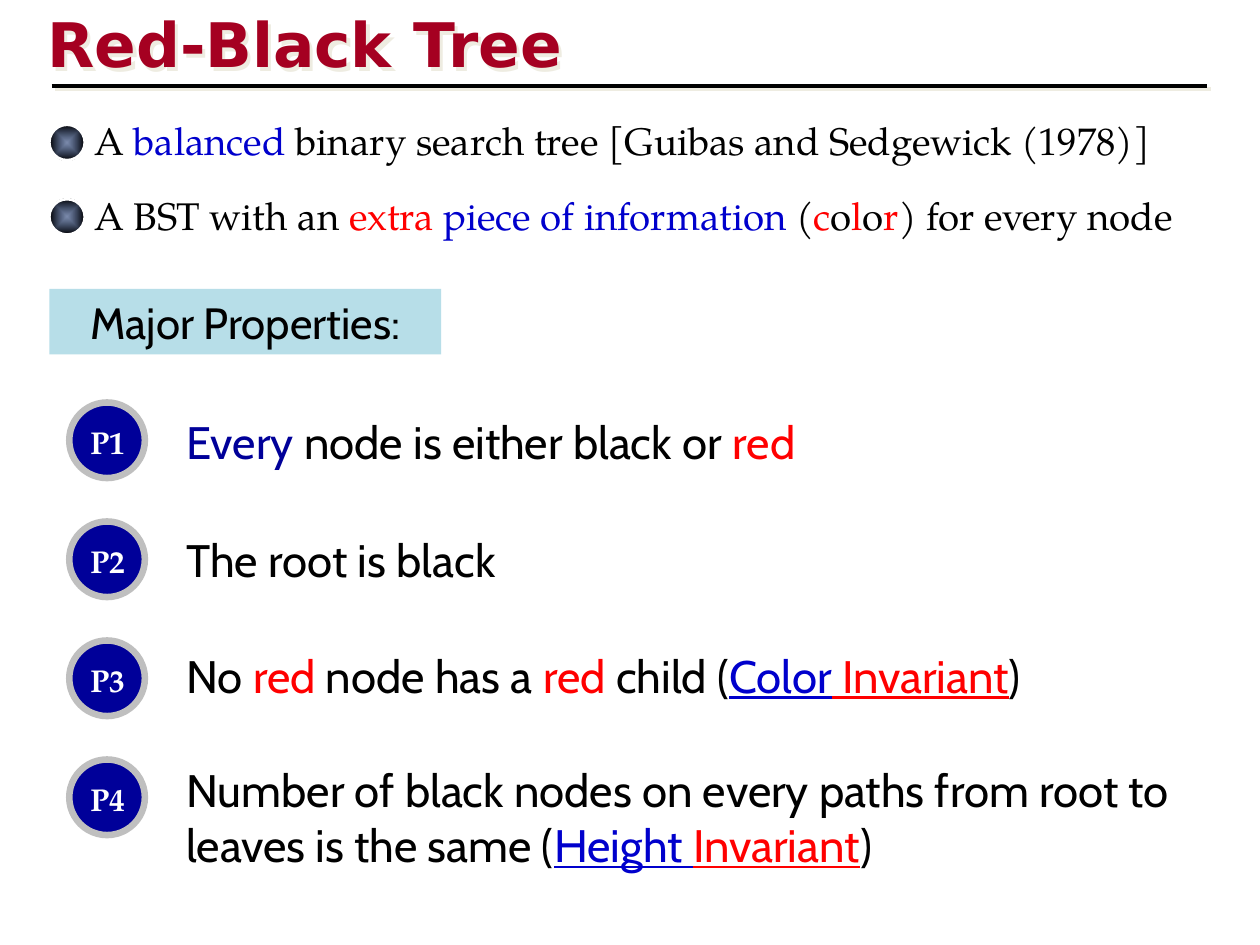
"""Build the Red-Black Tree slide with its definition and four properties."""
from lxml import etree
from pptx import Presentation
from pptx.dml.color import RGBColor
from pptx.enum import shapes, text
from pptx.oxml import parse_xml
from pptx.util import Pt

BLACK = RGBColor(0x00, 0x00, 0x00)
WHITE = RGBColor(0xFF, 0xFF, 0xFF)
RED = RGBColor(0xFF, 0x00, 0x00)
BLUE = RGBColor(0x00, 0x00, 0xCC)
NAVY = RGBColor(0x00, 0x00, 0x99)
CRIMSON = RGBColor(0xA5, 0x00, 0x21)
SILVER = RGBColor(0xBF, 0xBF, 0xBF)
PALE_BLUE = RGBColor(0xB7, 0xDE, 0xE8)
A = "http://schemas.openxmlformats.org/drawingml/2006/main"
SERIF, SANS = "TeX Gyre Pagella", "Cabin"
SHADOW = f"""<a:effectLst xmlns:a="{A}">
<a:outerShdw dist="35560" dir="2700000" algn="ctr" rotWithShape="0">
<a:srgbClr val="EEECE1"/></a:outerShdw></a:effectLst>"""
SPHERE = f"""<a:gradFill xmlns:a="{A}" rotWithShape="1"><a:gsLst>
<a:gs pos="0"><a:srgbClr val="002060"><a:alpha val="51000"/></a:srgbClr></a:gs>
<a:gs pos="100000"><a:srgbClr val="000000"/></a:gs></a:gsLst>
<a:path path="shape"><a:fillToRect l="50000" t="50000" r="50000" b="50000"/></a:path>
</a:gradFill>"""


def write(shape, runs, font, size, bold=False):
    frame = shape.text_frame
    frame.word_wrap = True
    paragraph = frame.paragraphs[0]
    paragraph.font.name, paragraph.font.size, paragraph.font.bold = font, Pt(size), bold
    for words, color, *underlined in runs:
        run = paragraph.add_run()
        run.text = words
        run.font.color.rgb = color
        if underlined:
            run.font.underline = True
    return paragraph


def circle(parent, left, top, size, line_color, line_width):
    disc = parent.shapes.add_shape(
        shapes.MSO_SHAPE.OVAL, Pt(left), Pt(top), Pt(size), Pt(size))
    disc.line.color.rgb = line_color
    disc.line.width = Pt(line_width)
    disc.shadow.inherit = False
    return disc


deck = Presentation()
deck.slide_width, deck.slide_height = Pt(720), Pt(540)
slide = deck.slides.add_slide(deck.slide_layouts[6])

title = slide.shapes.add_textbox(Pt(20), Pt(0.7), Pt(612), Pt(48))
write(title, [("Red-Black Tree", CRIMSON)], "DejaVu Sans", 35.1, True)
title.text_frame.vertical_anchor = text.MSO_ANCHOR.MIDDLE
title._element.spPr.append(parse_xml(SHADOW))

rule = slide.shapes.add_connector(
    shapes.MSO_CONNECTOR.STRAIGHT, Pt(29.5), Pt(49), Pt(690), Pt(49))
rule.line.color.rgb = BLACK
rule.line.width = Pt(2.25)
rule._element.spPr.append(parse_xml(SHADOW))

definitions = [
    [("A ", BLACK), ("balanced", BLUE),
     (" binary search tree [Guibas and Sedgewick (1978)]", BLACK)],
    [("A BST with an ", BLACK), ("extra ", RED), ("piece of information", BLUE),
     (" (", BLACK), ("c", RED), ("o", BLACK), ("l", RED), ("o", BLACK), ("r", RED),
     (") for every node", BLACK)],
]
for row, definition in enumerate(definitions):
    top = 63.4 + 42.5 * row
    group = slide.shapes.add_group_shape()
    bullet = circle(group, 28.2, top + 7.9, 20.2, WHITE, 1.5)
    bullet._element.spPr.insert(2, parse_xml(SPHERE))
    sentence = group.shapes.add_textbox(Pt(46.8), Pt(top), Pt(653), Pt(34))
    write(sentence, definition, SERIF, 22)

properties = [
    (233.3, [("Every ", NAVY), ("node is either black or ", BLACK), ("red", RED)]),
    (300.3, [("The root is black", BLACK)]),
    (366.5, [("No ", BLACK), ("red", RED), (" node has a ", BLACK), ("red", RED),
             (" child (", BLACK), ("Color", BLUE, True), (" Invariant", RED, True),
             (")", BLACK)]),
    (432, [("Number of black nodes on every paths from root to leaves is the same (", BLACK),
           ("Height ", BLUE, True), ("Invariant", RED, True), (")", BLACK)]),
]
for row, (statement_top, statement) in enumerate(properties):
    top = 230 + 68 * row
    group = slide.shapes.add_group_shape()
    badge = circle(group, 39.6, top, 43.2, SILVER, 3.75)
    badge.fill.solid()
    badge.fill.fore_color.rgb = NAVY
    number = group.shapes.add_textbox(Pt(44.8), Pt(top + 8), Pt(37.5), Pt(29))
    write(number, [(f"P{row + 1}", WHITE)], SERIF, 18, True)
    body = slide.shapes.add_textbox(Pt(99.4), Pt(statement_top), Pt(598), Pt(39))
    write(body, statement, SANS, 26)
body.height = Pt(70.5)

heading = slide.shapes.add_shape(
    shapes.MSO_SHAPE.RECTANGLE, Pt(28.2), Pt(165), Pt(224), Pt(37.5))
heading.fill.solid()
heading.fill.fore_color.rgb = PALE_BLUE
heading.line.fill.background()
heading.shadow.inherit = False
write(heading, [("Major Properties:", BLACK)], SANS, 25).alignment = text.PP_ALIGN.CENTER

deck.save("out.pptx")
